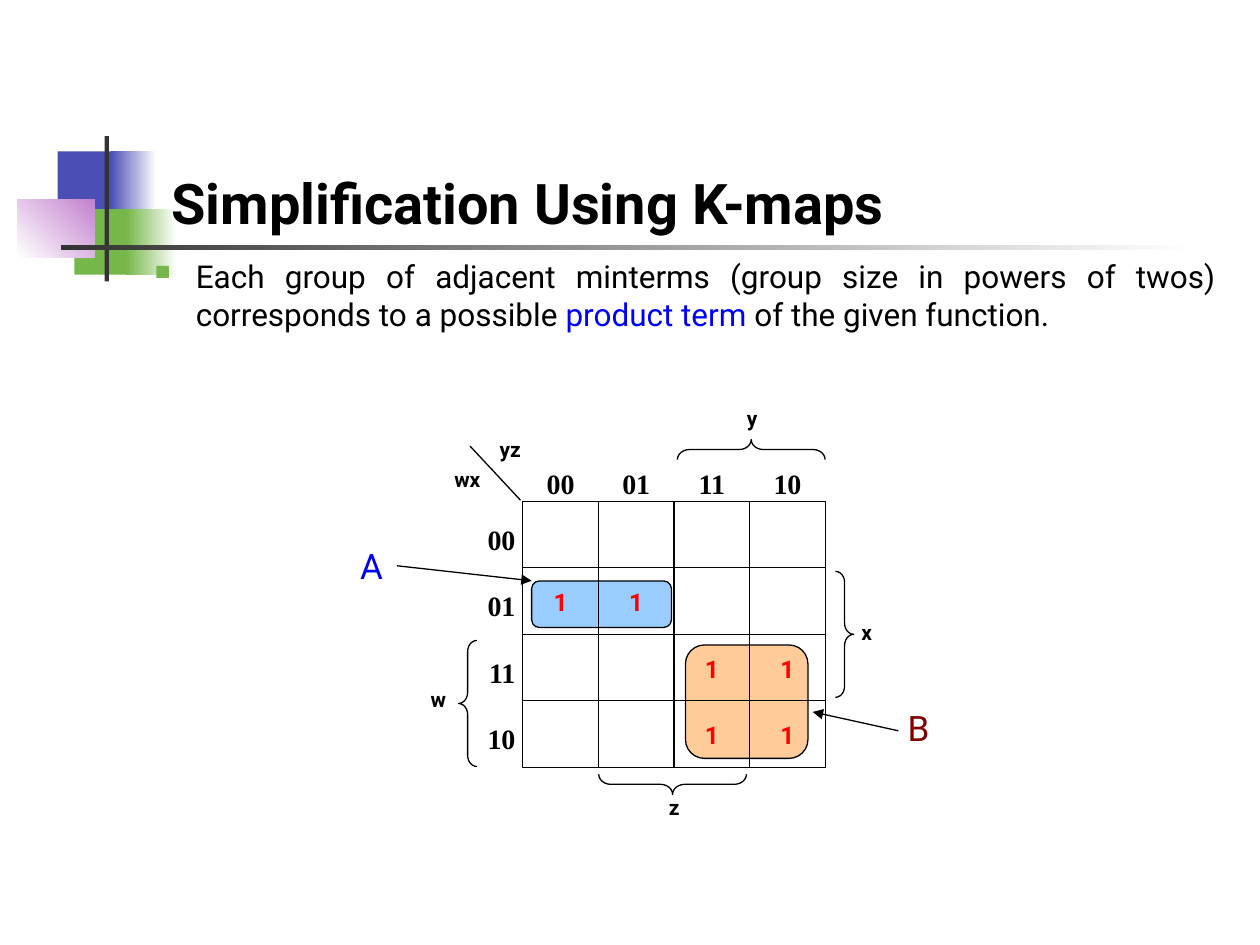
import pptx
import pptx.util
import pptx.dml.color
import pptx.enum.shapes
import pptx.enum.text
import pptx.oxml
import pptx.oxml.ns
import lxml.etree

Pt = pptx.util.Pt
SHAPE = pptx.enum.shapes.MSO_SHAPE
ALIGN = pptx.enum.text.PP_ALIGN
ANCHOR = pptx.enum.text.MSO_ANCHOR

THEME = {
    "sans": "Roboto", "serif": "Times New Roman",
    "title": 32, "body": 18, "callout": 20, "code": 16, "one": 14, "variable": 12,
    "line": 0.75,
    "black": "000000", "white": "FFFFFF", "gray": "333333", "indigo": "4B4EB5",
    "green": "76B749", "violet": "C481CF", "blue": "0000FF", "red": "FF0000",
    "maroon": "800000", "peach": "FFCC99", "sky": "99CCFF",
}

TITLE = "Simplification Using K-maps"
BODY = [
    ("Each group of adjacent minterms (group size in powers of twos) corresponds to a possible ", "black"),
    ("product term", "blue"),
    (" of the given function.", "black"),
]
CODES = ["00", "01", "11", "10"]
MINTERMS = [(1, 0), (1, 1), (2, 2), (2, 3), (3, 2), (3, 3)]

GRID_LEFT, GRID_TOP, CELL_WIDTH, CELL_HEIGHT = 298.8, 286.5, 43.2, 38
GRID_RIGHT = GRID_LEFT + 4 * CELL_WIDTH
GRID_BOTTOM = GRID_TOP + 4 * CELL_HEIGHT

ORNAMENTS = [
    ((33, 86.5, 34.5, 37.5), ["indigo"], 0),
    ((63.3, 86.5, 26, 37.5), ["indigo", "white"], 0),
    ((42.5, 119.5, 33, 37.5), ["green"], 0),
    ((72, 119.5, 29, 37.5), ["green", "white"], 0),
    ((10, 113.8, 44, 33.2), ["white", "violet"], 45),
    ((59.8, 77.8, 2.5, 83), ["gray"], 0),
    ((34.8, 140.2, 648, 2.5), ["gray", "white"], 0),
]
GROUPS = [
    ((391.7, 368.6, 70, 64.8), "peach"),
    ((303.8, 332, 79.9, 26.6), "sky"),
]
BRACES = [
    (SHAPE.LEFT_BRACE, (262, 366, 10.5, 72), 0),
    (SHAPE.RIGHT_BRACE, (477.4, 326.5, 10.5, 72), 0),
    (SHAPE.LEFT_BRACE, (423.5, 214.7, 11.5, 84.4), 90),
    (SHAPE.LEFT_BRACE, (378.6, 406, 11.5, 84.4), 270),
]
LABELS = [
    ("w", (234.7, 388.8, 31.7, 30.2), "variable", "black"),
    ("x", (479.5, 350.6, 31.7, 30.2), "variable", "black"),
    ("y", (414, 228.2, 31.7, 23), "variable", "black"),
    ("z", (369.4, 450.7, 31.7, 23), "variable", "black"),
    ("wx", (248.4, 262.8, 37.4, 27.4), "variable", "black"),
    ("yz", (272.9, 246.2, 37.4, 24.5), "variable", "black"),
    ("A", (198, 307.4, 28.8, 38.2), "callout", "blue"),
    ("B", (510.5, 400.3, 28.8, 38.2), "callout", "maroon"),
]
CORNER = (268.6, 254.9, 297.4, 285.8)
ARROWS = [(226.8, 323.3, 303.8, 331.9), (513.4, 417.6, 464.4, 406.8)]


def color(name):
    return pptx.dml.color.RGBColor.from_string(THEME[name])


def add_shape(slide, kind, box, fill=None, outline=True):
    shape = slide.shapes.add_shape(kind, *map(Pt, box))
    shape.shadow.inherit = False
    if fill:
        shape.fill.solid()
        shape.fill.fore_color.rgb = color(fill)
    else:
        shape.fill.background()
    if outline:
        shape.line.color.rgb = color("black")
        shape.line.width = Pt(THEME["line"])
    else:
        shape.line.fill.background()
    return shape


def add_ornament(slide, box, colors, angle):
    shape = add_shape(slide, SHAPE.RECTANGLE, box, colors[0], outline=False)
    if len(colors) == 2:
        shape.fill.gradient()
        shape.fill.gradient_angle = angle
        for stop, name in zip(shape.fill.gradient_stops, colors):
            stop.color.rgb = color(name)


def add_line(slide, ends, arrow=False):
    line = slide.shapes.add_connector(pptx.enum.shapes.MSO_CONNECTOR.STRAIGHT, *map(Pt, ends))
    line.line.color.rgb = color("black")
    line.line.width = Pt(THEME["line"])
    if arrow:
        outline = line.line._get_or_add_ln()
        lxml.etree.SubElement(outline, pptx.oxml.ns.qn("a:tailEnd"), type="triangle")
    lxml.etree.SubElement(line.element.spPr, pptx.oxml.ns.qn("a:effectLst"))


def style(paragraph, size, name="black", font="sans", bold=True, align=ALIGN.CENTER):
    paragraph.alignment = align
    paragraph.font.name = THEME[font]
    paragraph.font.size = Pt(THEME[size])
    paragraph.font.bold = bold
    paragraph.font.color.rgb = color(name)


def add_text(slide, text, box, size, **look):
    shape = slide.shapes.add_textbox(*map(Pt, box))
    shape.text_frame.word_wrap = True
    paragraph = shape.text_frame.paragraphs[0]
    paragraph.text = text
    style(paragraph, size, **look)
    return shape


def add_body(slide):
    shape = add_text(slide, "", (77.8, 143.5, 624.2, 102.2), "body", bold=False, align=ALIGN.JUSTIFY)
    paragraph = shape.text_frame.paragraphs[0]
    for text, name in BODY:
        run = paragraph.add_run()
        run.text = text
        run.font.color.rgb = color(name)
    properties = paragraph._p.get_or_add_pPr()
    properties.set("marL", str(Pt(27)))
    properties.set("indent", str(-Pt(27)))
    namespace = pptx.oxml.ns.nsdecls("a")
    bullet = [
        f'<a:buClr {namespace}><a:srgbClr val="{THEME["green"]}"/></a:buClr>',
        f'<a:buSzPct {namespace} val="120000"/>',
        f'<a:buChar {namespace} char="▪"/>',
    ]
    for position, xml in enumerate(bullet):
        properties.insert(position, pptx.oxml.parse_xml(xml))


def add_title(slide):
    title = slide.shapes.title
    title.left, title.top, title.width, title.height = map(Pt, (90.7, 48.2, 613.4, 90))
    frame = title.text_frame
    frame.text = TITLE
    frame.auto_size = pptx.enum.text.MSO_AUTO_SIZE.NONE
    frame.vertical_anchor = ANCHOR.BOTTOM
    style(frame.paragraphs[0], "title", align=ALIGN.LEFT)
    title.element.getparent().append(title.element)


def add_map(slide):
    for box, fill in GROUPS:
        add_shape(slide, SHAPE.FLOWCHART_ALTERNATE_PROCESS, box, fill)
    add_shape(slide, SHAPE.RECTANGLE, (GRID_LEFT, GRID_TOP, 4 * CELL_WIDTH, 4 * CELL_HEIGHT))
    for index in range(1, 4):
        x = GRID_LEFT + index * CELL_WIDTH
        y = GRID_TOP + index * CELL_HEIGHT
        add_line(slide, (x, GRID_TOP, x, GRID_BOTTOM))
        add_line(slide, (GRID_LEFT, y, GRID_RIGHT, y))
    for index, code in enumerate(CODES):
        x = GRID_LEFT + index * CELL_WIDTH
        y = GRID_TOP + index * CELL_HEIGHT
        add_text(slide, code, (x, 263, CELL_WIDTH, 30), "code", font="serif")
        add_text(slide, code, (262, y + 8.5, 39.6, 30), "code", font="serif", align=ALIGN.RIGHT)
    for row, column in MINTERMS:
        box = (GRID_LEFT + column * CELL_WIDTH, GRID_TOP + row * CELL_HEIGHT + 7.5, CELL_WIDTH, 30)
        add_text(slide, "1", box, "one", name="red")
    for kind, box, rotation in BRACES:
        brace = add_shape(slide, kind, box)
        brace.adjustments[0] = 0.6
        brace.rotation = rotation
    for text, box, size, name in LABELS:
        add_text(slide, text, box, size, name=name, bold=size == "variable")
    add_line(slide, CORNER)
    for ends in ARROWS:
        add_line(slide, ends, arrow=True)


def main():
    presentation = pptx.Presentation()
    presentation.slide_width, presentation.slide_height = Pt(720), Pt(540)
    slide = presentation.slides.add_slide(presentation.slide_layouts[5])
    for box, colors, angle in ORNAMENTS:
        add_ornament(slide, box, colors, angle)
    add_title(slide)
    add_body(slide)
    add_map(slide)
    presentation.save("out.pptx")


if __name__ == "__main__":
    main()
